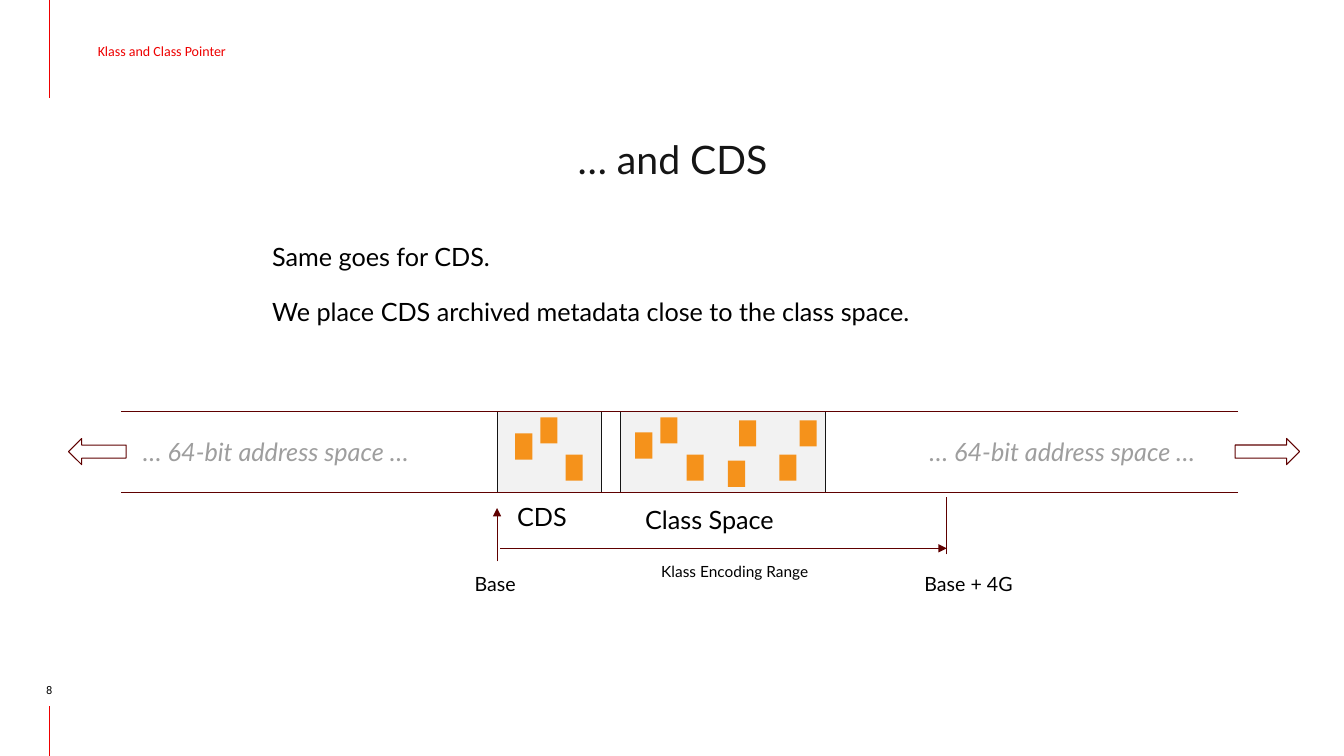
from lxml import etree
from pptx import Presentation
from pptx.dml.color import RGBColor
from pptx.enum.shapes import MSO_CONNECTOR, MSO_SHAPE
from pptx.enum.text import MSO_ANCHOR, MSO_AUTO_SIZE, PP_ALIGN
from pptx.oxml.ns import qn
from pptx.util import Inches, Pt

RED = RGBColor(0xEE, 0x00, 0x00)
DARK_RED = RGBColor(0x5F, 0x00, 0x00)
INK = RGBColor(0x15, 0x15, 0x15)
BLACK = RGBColor(0x00, 0x00, 0x00)
GREY = RGBColor(0x9E, 0x9E, 0x9E)
PALE = RGBColor(0xF2, 0xF2, 0xF2)
ORANGE = RGBColor(0xF5, 0x92, 0x1B)

BAND_TOP, BAND_HEIGHT = 4.08, 0.81
BASE_X, LIMIT_X = 4.93, 9.39
CDS_KLASSES = [(5.11, 4.3), (5.36, 4.14), (5.61, 4.51)]
CLASS_SPACE_KLASSES = [(6.3, 4.29), (6.55, 4.14), (6.81, 4.51), (7.22, 4.57),
                       (7.33, 4.17), (7.73, 4.51), (7.93, 4.17)]


def set_frame(frame, inset=0.0, anchor=MSO_ANCHOR.TOP, fit=MSO_AUTO_SIZE.NONE):
    frame.word_wrap = True
    frame.auto_size = fit
    frame.vertical_anchor = anchor
    frame.margin_left = frame.margin_right = Inches(inset)
    frame.margin_top = frame.margin_bottom = Inches(inset)


def write(paragraph, text, size, color=BLACK, font="Lato", italic=None):
    run = paragraph.add_run()
    run.text = text
    run.font.name = font
    run.font.size = Pt(size)
    run.font.color.rgb = color
    run.font.italic = italic


def add_frame(slide, left, top, width, height, **settings):
    box = slide.shapes.add_textbox(Inches(left), Inches(top),
                                   Inches(width), Inches(height))
    set_frame(box.text_frame, **settings)
    return box.text_frame


def add_label(slide, text, left, top, width, height, size, **style):
    frame = add_frame(slide, left, top, width, height, inset=0.1,
                      fit=MSO_AUTO_SIZE.SHAPE_TO_FIT_TEXT)
    write(frame.paragraphs[0], text, size, **style)


def add_block(slide, kind, left, top, width, height, fill=None, line=None):
    block = slide.shapes.add_shape(kind, Inches(left), Inches(top),
                                   Inches(width), Inches(height))
    block.shadow.inherit = False
    if fill is None:
        block.fill.background()
    else:
        block.fill.solid()
        block.fill.fore_color.rgb = fill
    if line is None:
        block.line.fill.background()
    else:
        block.line.color.rgb = line
        block.line.width = Pt(0.75)
    return block


def add_line(slide, x1, y1, x2, y2, color=DARK_RED, arrow=False):
    line = slide.shapes.add_connector(MSO_CONNECTOR.STRAIGHT, Inches(x1),
                                      Inches(y1), Inches(x2), Inches(y2))
    line.line.color.rgb = color
    line.line.width = Pt(0.75)
    if arrow:
        etree.SubElement(line.line._get_or_add_ln(), qn("a:tailEnd"),
                         type="triangle")
    etree.SubElement(line._element.spPr, qn("a:effectLst"))


def add_page_frame(slide):
    for start, end in [(0.97, 0), (7.5, 7)]:
        add_line(slide, 0.49, start, 0.49, end, RED)

    number = add_frame(slide, 0.09, 6.75, 0.8, 0.16, anchor=MSO_ANCHOR.BOTTOM)
    number.paragraphs[0].alignment = PP_ALIGN.CENTER
    write(number.paragraphs[0], "8", 8, font="Roboto")

    section = add_frame(slide, 0.49, 0.06, 5.63, 0.89, inset=0.1,
                        anchor=MSO_ANCHOR.MIDDLE)
    section.margin_left = Inches(0.48)
    write(section.paragraphs[0], "Klass and Class Pointer", 10, RED, "Calibri")


def add_title(slide):
    title = slide.shapes.title
    title.left, title.top = Inches(0.97), Inches(1.2)
    title.width, title.height = Inches(11.4), Inches(0.6)
    set_frame(title.text_frame)
    heading = title.text_frame.paragraphs[0]
    heading.alignment = PP_ALIGN.CENTER
    heading.line_spacing = 1.3
    write(heading, "… and CDS", 28, INK)


def add_body(slide):
    body = add_frame(slide, 2.7, 2.29, 8, 1.15)
    first, second = body.paragraphs[0], body.add_paragraph()
    for paragraph, text in [
            (first, "Same goes for CDS."),
            (second, "We place CDS archived metadata close to the class space.")]:
        paragraph.line_spacing = 1.35
        paragraph.space_before = Pt(10)
        write(paragraph, text, 18)
    second.space_after = Pt(10)


def add_address_space(slide):
    # Mapped regions with their Klass structures
    for left, width in [(BASE_X, 1.04), (6.15, 2.04)]:
        add_block(slide, MSO_SHAPE.RECTANGLE, left, BAND_TOP, width,
                  BAND_HEIGHT, PALE, INK)
    for left, top in CDS_KLASSES + CLASS_SPACE_KLASSES:
        add_block(slide, MSO_SHAPE.RECTANGLE, left, top, 0.17, 0.26, ORANGE)
    add_label(slide, "CDS", 5.03, 4.87, 0.87, 0.5, 18)
    add_label(slide, "Class Space", 6.3, 4.9, 1.57, 0.5, 18)

    # Band edges and the surrounding space
    for y in (BAND_TOP, BAND_TOP + BAND_HEIGHT):
        add_line(slide, 12.28, y, 1.2, y)
    for left in (1.32, 9.12):
        add_label(slide, "… 64-bit address space …", left, 4.23, 2.97, 0.5,
                  18, color=GREY, italic=True)
    for left, width, angle in [(0.68, 0.57, 180), (12.25, 0.64, 0)]:
        arrow = add_block(slide, MSO_SHAPE.RIGHT_ARROW, left, 4.35, width,
                          0.26, line=DARK_RED)
        arrow.rotation = angle


def add_encoding_range(slide):
    add_line(slide, BASE_X, 5.57, BASE_X, 5.04, arrow=True)
    add_line(slide, 4.96, 5.44, LIMIT_X, 5.44, arrow=True)
    add_line(slide, LIMIT_X, 5.5, LIMIT_X, 4.93)
    add_label(slide, "Base", 4.61, 5.57, 0.64, 0.44, 14)
    add_label(slide, "Base + 4G", 9.07, 5.57, 1.91, 0.44, 14)
    add_label(slide, "Klass Encoding Range", 6.46, 5.48, 1.72, 0.39, 11)


def main():
    deck = Presentation()
    deck.slide_width, deck.slide_height = Inches(13.33), Inches(7.5)
    slide = deck.slides.add_slide(deck.slide_layouts[5])
    add_page_frame(slide)
    add_title(slide)
    add_body(slide)
    add_address_space(slide)
    add_encoding_range(slide)
    deck.save("out.pptx")


if __name__ == "__main__":
    main()
